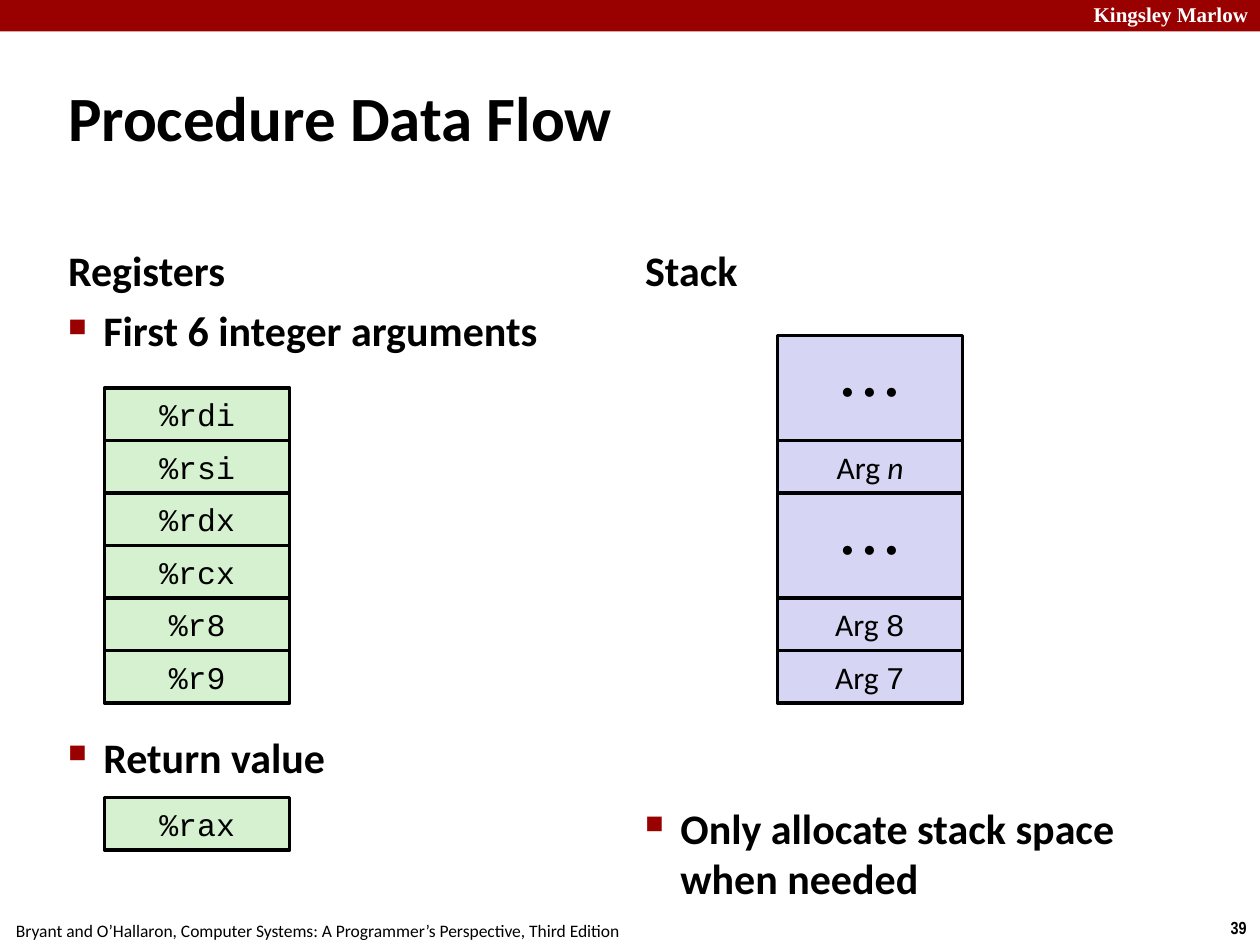
import pptx
import pptx.util
import pptx.dml.color
import pptx.enum.shapes
import pptx.enum.text
import pptx.oxml
import pptx.oxml.ns

Inches, Pt = pptx.util.Inches, pptx.util.Pt
ALIGN, ANCHOR = pptx.enum.text.PP_ALIGN, pptx.enum.text.MSO_ANCHOR

THEME = {
    "red": "990000", "black": "000000", "white": "FFFFFF",
    "register": "D5F1CF", "stack": "D6D6F4",
    "title": {"name": "Calibri", "size": Pt(36), "bold": True},
    "body": {"name": "Calibri", "size": Pt(24), "bold": True},
    "code": {"name": "Courier New", "size": Pt(18)},
    "label": {"name": "Calibri", "size": Pt(18)},
    "variable": {"name": "Calibri", "size": Pt(18), "italic": True},
    "dots": {"name": "Cabin", "size": Pt(24)},
    "banner": {"name": "Times New Roman", "size": Pt(12), "bold": True},
    "footer": {"name": "Calibri", "size": Pt(10)},
    "page": {"name": "Arial Narrow", "size": Pt(10), "bold": True},
}

# Content: text runs are (text, style) pairs
BANNER = "Kingsley Marlow"
TITLE = "Procedure Data Flow"
FOOTER = "Bryant and O’Hallaron, Computer Systems: A Programmer’s Perspective, Third Edition"
PAGE = "39"
ARGUMENT_REGISTERS = ["%rdi", "%rsi", "%rdx", "%rcx", "%r8", "%r9"]
RETURN_REGISTER = "%rax"
DOTS = [("• • •", "dots")]
STACK_CELLS = [  # (runs, height in rows), top to bottom
    (DOTS, 2),
    ([("Arg ", "label"), ("n", "variable")], 1),
    (DOTS, 2),
    ([("Arg ", "label"), ("8", "code")], 1),
    ([("Arg ", "label"), ("7", "code")], 1),
]
REGISTER_POINTS = [("First 6 integer arguments", 6), ("Return value", 214.7)]  # space before, pt
STACK_POINTS = [("Only allocate stack space when needed", 6)]

# Layout, in inches
LEFT, RIGHT, COLUMN_WIDTH = 0.5, 5.08, 4.42
HEADING_TOP, HEADING_HEIGHT = 1.68, 0.7
REGISTER_LEFT, STACK_LEFT, CELL_WIDTH = 0.83, 6.17, 1.47
ROW = 5 / 12
CELLS_BOTTOM = 5.58
RETURN_TOP = 6.33
INDENT, INSET = 0.28, 0.04


def rgb(color):
    return pptx.dml.color.RGBColor.from_string(THEME[color])


def set_frame(frame, inset=INSET, **values):
    margins = {f"margin_{side}": Inches(inset) for side in ("left", "right", "top", "bottom")}
    for name, value in {"word_wrap": True, **margins, **values}.items():
        setattr(frame, name, value)


def add_runs(paragraph, runs, color="black"):
    for text, style in runs:
        run = paragraph.add_run()
        run.text = text
        run.font.color.rgb = rgb(color)
        for name, value in THEME[style].items():
            setattr(run.font, name, value)


def add_text(slide, box, text, style, color="black", align=ALIGN.LEFT, **frame_values):
    frame = slide.shapes.add_textbox(*map(Inches, box)).text_frame
    set_frame(frame, **frame_values)
    frame.paragraphs[0].alignment = align
    add_runs(frame.paragraphs[0], [(text, style)], color)


def add_bullet(paragraph):
    props = paragraph._p.get_or_add_pPr()
    props.set("marL", str(Inches(INDENT)))
    props.set("indent", str(-Inches(INDENT)))
    ns = pptx.oxml.ns.nsdecls("a")
    for xml in (f'<a:buClr {ns}><a:srgbClr val="{THEME["red"]}"/></a:buClr>',
                f'<a:buSzPct {ns} val="60000"/>',
                f'<a:buChar {ns} char="■"/>'):
        props.append(pptx.oxml.parse_xml(xml))


def add_points(slide, box, points):
    frame = slide.shapes.add_textbox(*map(Inches, box)).text_frame
    set_frame(frame)
    for index, (text, space) in enumerate(points):
        paragraph = frame.add_paragraph() if index else frame.paragraphs[0]
        paragraph.space_before = Pt(space)
        add_bullet(paragraph)
        add_runs(paragraph, [(text, "body")])


def add_rectangle(slide, box, fill):
    shape = slide.shapes.add_shape(pptx.enum.shapes.MSO_SHAPE.RECTANGLE, *map(Inches, box))
    shape.shadow.inherit = False
    shape.fill.solid()
    shape.fill.fore_color.rgb = rgb(fill)
    shape.line.fill.background()
    return shape


def add_cells(slide, left, top, cells, fill):
    """Stack outlined cells downwards; each is (runs, height in rows)."""
    for runs, rows in cells:
        cell = add_rectangle(slide, (left, top, CELL_WIDTH, rows * ROW), fill)
        cell.line.color.rgb = rgb("black")
        cell.line.width = Pt(2)
        set_frame(cell.text_frame, 0 if runs is DOTS else INSET, vertical_anchor=ANCHOR.MIDDLE)
        cell.text_frame.paragraphs[0].alignment = ALIGN.CENTER
        add_runs(cell.text_frame.paragraphs[0], runs)
        top += rows * ROW


def register_cells(names):
    return [([(name, "code")], 1) for name in names]


def cells_top(cells):
    return CELLS_BOTTOM - ROW * sum(rows for _, rows in cells)


def main():
    deck = pptx.Presentation()
    deck.slide_width, deck.slide_height = Inches(10), Inches(7.5)
    slide = deck.slides.add_slide(deck.slide_layouts[6])

    for box, text, style in [((9.66, 7.23, 0.34, 0.27), PAGE, "page"),
                             ((-0.02, 7.25, 5.08, 0.27), FOOTER, "footer")]:
        add_text(slide, box, text, style, align=ALIGN.CENTER, inset=0.05, word_wrap=False)
    add_rectangle(slide, (0, 0, 10, 0.25), "red")
    add_text(slide, (8.64, -0.03, 1.44, 0.28), BANNER, "banner", "white")
    add_text(slide, (LEFT, 0.3, 9, 1.25), TITLE, "title", vertical_anchor=ANCHOR.MIDDLE)

    for left, heading in [(LEFT, "Registers"), (RIGHT, "Stack")]:
        add_text(slide, (left, HEADING_TOP, COLUMN_WIDTH, HEADING_HEIGHT), heading, "body",
                 vertical_anchor=ANCHOR.BOTTOM)
    add_points(slide, (LEFT, HEADING_TOP + HEADING_HEIGHT, COLUMN_WIDTH, 4.32), REGISTER_POINTS)
    add_points(slide, (RIGHT, RETURN_TOP, COLUMN_WIDTH, 0.37), STACK_POINTS)

    arguments = register_cells(ARGUMENT_REGISTERS)
    add_cells(slide, REGISTER_LEFT, cells_top(arguments), arguments, "register")
    add_cells(slide, REGISTER_LEFT, RETURN_TOP, register_cells([RETURN_REGISTER]), "register")
    add_cells(slide, STACK_LEFT, cells_top(STACK_CELLS), STACK_CELLS, "stack")

    deck.save("out.pptx")


if __name__ == "__main__":
    main()
